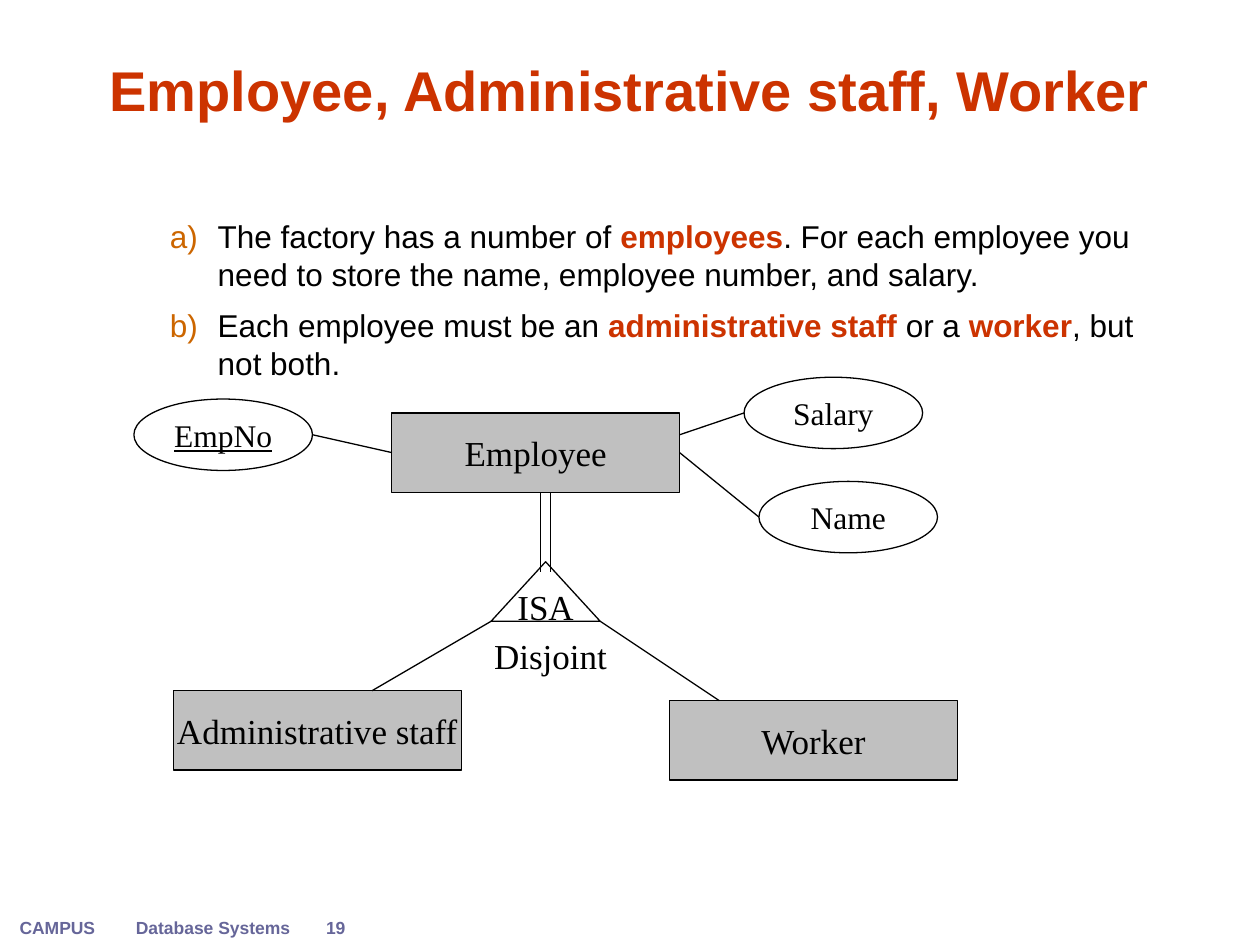
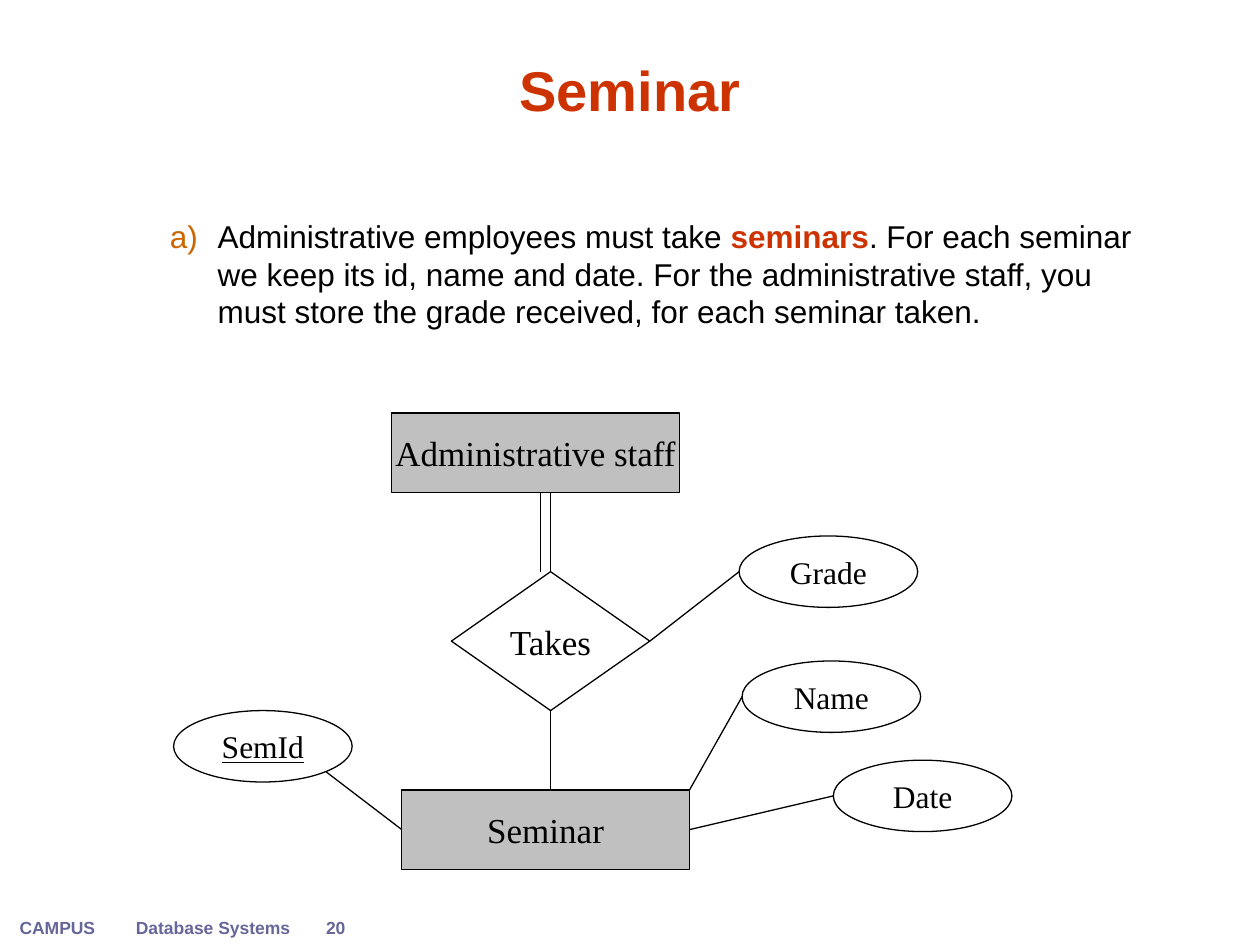
import pptx
import pptx.util
import pptx.dml.color
import pptx.enum.shapes
import pptx.enum.text
import pptx.oxml.ns
import lxml.etree

SHAPE = pptx.enum.shapes.MSO_SHAPE
ALIGN = pptx.enum.text.PP_ALIGN
ANCHOR = pptx.enum.text.MSO_ANCHOR

WIDTH, HEIGHT = pptx.util.Inches(10), pptx.util.Inches(7.5)
CELL = WIDTH / 127                      # diagram grid: 127 columns across the slide
DIAGRAM = (0.5 * CELL, 0.437 * HEIGHT)  # upper left corner of the diagram grid

SANS, SERIF = "Arial", "Times New Roman"
RED, ORANGE, SLATE = "CC3300", "CC6600", "666699"
BLACK, WHITE, GREY = "000000", "FFFFFF", "C0C0C0"

ENTITY_SIZE = (29, 8)
ATTRIBUTE_SIZE = (18, 7.2)
TOP, LEFT, BOTTOM, RIGHT = range(4)


def color(value):
    return pptx.dml.color.RGBColor.from_string(value)


def share_box(left, top, width, height):
    """Turn shares of the slide's size into lengths."""
    return [int(part) for part in
            (left * WIDTH, top * HEIGHT, width * WIDTH, height * HEIGHT)]


def grid_point(column, row):
    return int(DIAGRAM[0] + column * CELL), int(DIAGRAM[1] + row * CELL)


def add_element(parent, tag, **attributes):
    return lxml.etree.SubElement(parent, pptx.oxml.ns.qn(tag), **attributes)


def write(para, text, font=SERIF, size=20, fill=BLACK, bold=False,
          underline=False, align=ALIGN.CENTER):
    para.alignment = align
    span = para.add_run()
    span.text = text
    span.font.name = font
    span.font.size = pptx.util.Pt(size)
    span.font.bold = bold
    span.font.underline = underline
    span.font.color.rgb = color(fill)


# Shared parts of every slide

def add_title(page, text):
    title = page.shapes.title
    title.left, title.top, title.width, title.height = share_box(0.075, 0.007, 0.85, 0.13)
    frame = title.text_frame
    frame.auto_size = pptx.enum.text.MSO_AUTO_SIZE.NONE
    frame.vertical_anchor = ANCHOR.BOTTOM
    write(frame.paragraphs[0], text, font=SANS, size=32, fill=RED, bold=True)


def add_footer(page, number):
    items = [("CAMPUS", 0.002, 0.087, ALIGN.CENTER),
             ("Database Systems", 0.098, 0.142, ALIGN.LEFT),
             (str(number), 0.223, 0.087, ALIGN.CENTER)]
    for text, left, width, align in items:
        box = page.shapes.add_textbox(*share_box(left, 0.964, width, 0.036))
        box.text_frame.word_wrap = False
        write(box.text_frame.paragraphs[0], text, font=SANS, size=10,
              fill=SLATE, bold=True, align=align)


def add_requirements(page, items):
    """Lettered list; every second part of an item is a highlighted term."""
    box = page.shapes.add_textbox(*share_box(0.075, 0.223, 0.85, 0.215))
    frame = box.text_frame
    frame.word_wrap = True
    for index, parts in enumerate(items):
        para = frame.add_paragraph() if index else frame.paragraphs[0]
        para.space_before = pptx.util.Pt(7.9 if index else 0)
        for place, text in enumerate(parts):
            term = place % 2 == 1
            write(para, text, font=SANS, size=18, fill=RED if term else BLACK,
                  bold=term, align=ALIGN.LEFT)
        # Letter and hanging indent
        props = para._p.get_or_add_pPr()
        props.set("marL", str(pptx.util.Inches(0.88)))
        props.set("indent", str(pptx.util.Inches(-0.38)))
        add_element(add_element(props, "a:buClr"), "a:srgbClr", val=ORANGE)
        add_element(props, "a:buFont", typeface=SANS)
        add_element(props, "a:buAutoNum", type="alphaLcParenR")


def add_page(deck, number, title, requirements):
    page = deck.slides.add_slide(deck.slide_layouts[5])
    add_title(page, title)
    add_footer(page, number)
    add_requirements(page, requirements)
    return page


# Parts of the entity-relationship diagrams, placed by column and row

def add_node(page, kind, text, place, extent, fill=None, **style):
    width, height = (int(cells * CELL) for cells in extent)
    node = page.shapes.add_shape(kind, *grid_point(*place), width, height)
    node.shadow.inherit = False
    node.line.color.rgb = color(BLACK)
    node.line.width = pptx.util.Pt(0.75)
    if fill:
        node.fill.solid()
        node.fill.fore_color.rgb = color(fill)
    else:
        node.fill.background()
    frame = node.text_frame
    frame.word_wrap = False
    frame.vertical_anchor = ANCHOR.MIDDLE
    write(frame.paragraphs[0], text, **style)
    return node


def add_entity(page, text, *place):
    return add_node(page, SHAPE.RECTANGLE, text, place, ENTITY_SIZE, GREY)


def add_attribute(page, text, *place, key=False):
    """Draw an ellipse and return the middles of its left and right ends."""
    add_node(page, SHAPE.OVAL, text, place, ATTRIBUTE_SIZE, WHITE,
             size=18, underline=key)
    column, row = place
    width, height = ATTRIBUTE_SIZE
    return (column, row + height / 2), (column + width, row + height / 2)


def add_link(page, start, end):
    """Each end is a grid point or a pair of node and side."""
    points = [(0, 0) if hasattr(spot[0], "shape_id") else grid_point(*spot)
              for spot in (start, end)]
    link = page.shapes.add_connector(pptx.enum.shapes.MSO_CONNECTOR.STRAIGHT,
                                     *points[0], *points[1])
    for spot, join in ((start, link.begin_connect), (end, link.end_connect)):
        if hasattr(spot[0], "shape_id"):
            join(*spot)
    link.line.color.rgb = color(BLACK)
    link.line.width = pptx.util.Pt(0.75)
    add_element(link._element.spPr, "a:effectLst")


def draw_employee_diagram(page):
    # Class hierarchy
    employee = add_entity(page, "Employee", 39, 0)
    add_entity(page, "Administrative staff", 17, 28)
    add_entity(page, "Worker", 67, 29)
    add_node(page, SHAPE.ISOSCELES_TRIANGLE, "ISA", (49, 15), (11, 6))
    for column in (54, 55):
        add_link(page, (column, 8), (column, 16))
    add_link(page, (49, 21), (37, 28))
    add_link(page, (60, 21), (72, 29))
    label = page.shapes.add_textbox(*grid_point(47.1, 21.7),
                                    int(15.8 * CELL), int(5.6 * CELL))
    label.text_frame.word_wrap = True
    write(label.text_frame.paragraphs[0], "Disjoint")
    # Attributes
    _, number_end = add_attribute(page, "EmpNo", 13, -1.4, key=True)
    salary_end, _ = add_attribute(page, "Salary", 74.5, -3.6)
    name_end, _ = add_attribute(page, "Name", 76, 6.9)
    add_link(page, (employee, LEFT), number_end)
    add_link(page, (68, 2.2), salary_end)
    add_link(page, (employee, RIGHT), name_end)


def draw_seminar_diagram(page):
    # Relationship between the two entities
    add_entity(page, "Administrative staff", 39, 0)
    seminar = add_entity(page, "Seminar", 40, 38)
    takes = add_node(page, SHAPE.FLOWCHART_DECISION, "Takes", (45, 16), (20, 14), WHITE)
    add_link(page, (54, 8), (54, 16))
    add_link(page, (55, 8), (takes, TOP))
    add_link(page, (takes, BOTTOM), (55, 38))
    # Attributes
    add_attribute(page, "SemId", 17, 30, key=True)
    grade_end, _ = add_attribute(page, "Grade", 74, 12.4)
    name_end, _ = add_attribute(page, "Name", 74.3, 25)
    date_end, _ = add_attribute(page, "Date", 83.5, 35)
    add_link(page, (32.4, 36.2), (seminar, LEFT))
    add_link(page, (takes, RIGHT), grade_end)
    add_link(page, (69, 38), name_end)
    add_link(page, (seminar, RIGHT), date_end)


def main():
    deck = pptx.Presentation()
    deck.slide_width, deck.slide_height = WIDTH, HEIGHT

    page = add_page(deck, 19, "Employee, Administrative staff, Worker", [
        ["The factory has a number of ", "employees",
         ". For each employee you need to store the name, employee number, and salary."],
        ["Each employee must be an ", "administrative staff", " or a ", "worker",
         ", but not both."]])
    draw_employee_diagram(page)

    page = add_page(deck, 20, "Seminar", [
        ["Administrative employees must take ", "seminars",
         ". For each seminar we keep its id, name and date. For the administrative "
         "staff, you must store the grade received, for each seminar taken."]])
    draw_seminar_diagram(page)

    deck.save("out.pptx")


if __name__ == "__main__":
    main()
